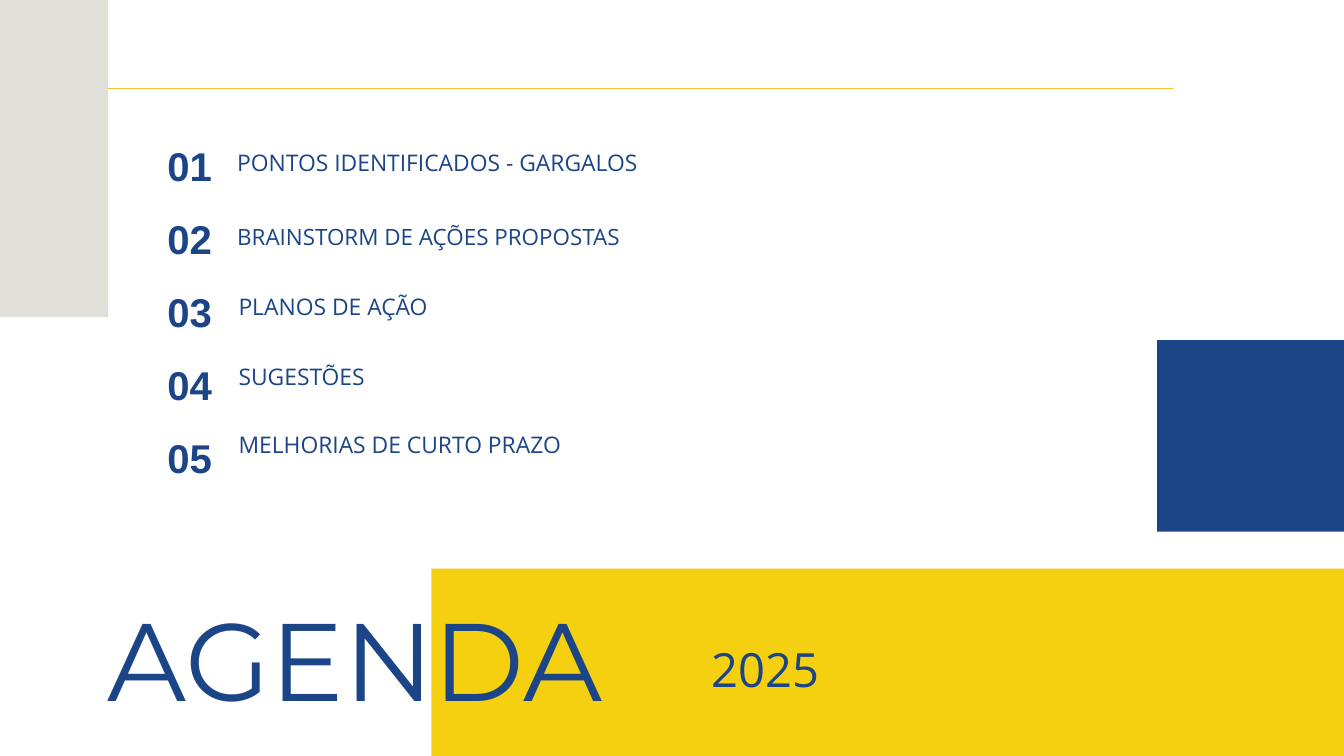
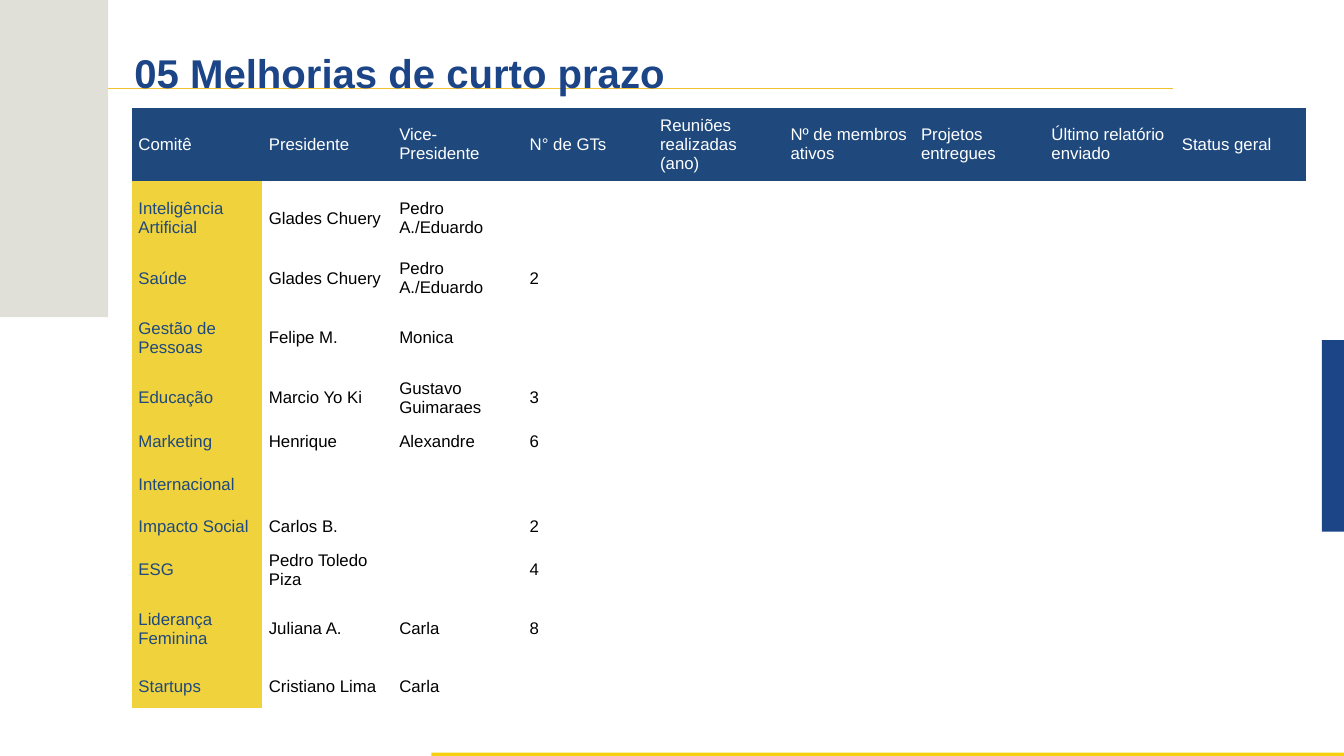
from lxml.etree import SubElement
from pptx import Presentation
from pptx.dml.color import RGBColor
from pptx.enum.shapes import MSO_CONNECTOR, MSO_SHAPE
from pptx.enum.text import MSO_ANCHOR, MSO_AUTO_SIZE, PP_ALIGN
from pptx.oxml.ns import qn
from pptx.util import Inches, Pt

BLUE = RGBColor(0x1B, 0x45, 0x87)
YELLOW = RGBColor(0xF4, 0xD0, 0x10)
GOLD = RGBColor(0xF1, 0xC1, 0x31)
GREY = RGBColor(0xE0, 0xE0, 0xD9)
NAVY = RGBColor(0x1F, 0x49, 0x7D)
MUSTARD = RGBColor(0xF0, 0xD2, 0x3C)
WHITE = RGBColor(0xFF, 0xFF, 0xFF)
BLACK = RGBColor(0x00, 0x00, 0x00)

SLIDE_W, SLIDE_H = 20, 11.25
NO_GRID_STYLE = "{2D5ABB26-0587-4C30-8999-92F81FD0307C}"

AGENDA_ITEMS = [
    ("PONTOS IDENTIFICADOS - GARGALOS", 3.52, 2.2, 24.5),
    ("BRAINSTORM DE AÇÕES PROPOSTAS", 3.52, 3.31, 24),
    ("PLANOS DE AÇÃO", 3.54, 4.34, 24.5),
    ("SUGESTÕES", 3.54, 5.38, 24.5),
    ("MELHORIAS DE CURTO PRAZO", 3.54, 6.4, 24.5),
]

HEADERS = ["Comitê", "Presidente", "Vice-Presidente", "N° de GTs",
           "Reuniões realizadas (ano)", "Nº de membros ativos",
           "Projetos entregues", "Último relatório enviado", "Status geral"]
COMMITTEES = [
    ("Inteligência Artificial", "Glades Chuery", "Pedro A./Eduardo", ""),
    ("Saúde", "Glades Chuery", "Pedro A./Eduardo", "2"),
    ("Gestão de Pessoas", "Felipe M.", "Monica", ""),
    ("Educação", "Marcio Yo Ki", "Gustavo Guimaraes", "3"),
    ("Marketing", "Henrique", "Alexandre", "6"),
    ("Internacional", "", "", ""),
    ("Impacto Social", "Carlos B.", "", "2"),
    ("ESG", "Pedro Toledo Piza", "", "4"),
    ("Liderança Feminina", "Juliana A.", "Carla", "8"),
    ("Startups", "Cristiano Lima", "Carla", ""),
]
ROW_HEIGHTS = [1.1, 1.1, 0.68, 1.1, 0.68, 0.63, 0.63, 0.63, 0.63, 1.1, 0.63]


def add_block(slide, left, top, width, height, color):
    """Add a plain filled rectangle."""
    sp = slide.shapes.add_shape(MSO_SHAPE.RECTANGLE, Inches(left), Inches(top),
                                Inches(width), Inches(height))
    sp.shadow.inherit = False
    sp.fill.solid()
    sp.fill.fore_color.rgb = color
    sp.line.fill.background()


def add_rule(slide, left, right, y):
    """Add the thin gold line across the top."""
    line = slide.shapes.add_connector(MSO_CONNECTOR.STRAIGHT, Inches(left), Inches(y),
                                      Inches(right), Inches(y))
    line.line.color.rgb = GOLD
    line.line.width = Pt(0.75)
    SubElement(line.element.find(qn("p:spPr")), qn("a:effectLst"))


def add_frame(slide, side_left, band_top):
    """Add the blue side block, yellow bottom band, rule and grey corner."""
    add_block(slide, side_left, 5.06, SLIDE_W - side_left, 2.85, BLUE)
    add_block(slide, 6.42, band_top, SLIDE_W - 6.42, SLIDE_H - band_top, YELLOW)
    add_rule(slide, 1.61, 17.45, 1.32)
    add_block(slide, 0, 0, 1.61, 4.72, GREY)


def style_runs(p, font, size, color, bold=False):
    """Format every run of a paragraph."""
    for r in p.runs:
        r.font.name = font
        r.font.size = Pt(size)
        r.font.bold = bold
        r.font.color.rgb = color


def fill_text(sp, text, font, size, bold=False, top_inset=0.01, gap=0):
    """Write blue left-aligned text, with a gap between its paragraphs."""
    tf = sp.text_frame
    tf.text = text
    tf.word_wrap = True
    tf.auto_size = MSO_AUTO_SIZE.NONE
    tf.vertical_anchor = MSO_ANCHOR.TOP
    tf.margin_left, tf.margin_top = Inches(0.01), Inches(top_inset)
    tf.margin_right = tf.margin_bottom = 0
    for i, p in enumerate(tf.paragraphs):
        p.alignment = PP_ALIGN.LEFT
        p.space_before = Pt(gap if i else 0)
        style_runs(p, font, size, BLUE, bold)


def add_text(slide, box, text, font, size, **options):
    """Add a text box at (left, top, width, height)."""
    sp = slide.shapes.add_textbox(*map(Inches, box))
    fill_text(sp, text, font, size, **options)


def set_title(slide, box, text, font, size, **options):
    """Place the title placeholder in front of the frame and format it."""
    sp = slide.shapes.title
    sp.left, sp.top, sp.width, sp.height = map(Inches, box)
    fill_text(sp, text, font, size, **options)
    sp.element.getparent().append(sp.element)


def style_cell(cell, text, color, fill=None):
    """Write one table cell and set its fill."""
    cell.text = text
    cell.vertical_anchor = MSO_ANCHOR.MIDDLE
    style_runs(cell.text_frame.paragraphs[0], "Arial", 18, color)
    if fill is None:
        cell.fill.background()
    else:
        cell.fill.solid()
        cell.fill.fore_color.rgb = fill


def add_committee_table(slide):
    """Add the table of committees."""
    frame = slide.shapes.add_table(len(ROW_HEIGHTS), len(HEADERS), Inches(1.96), Inches(1.6),
                                   Inches(17.47), Inches(sum(ROW_HEIGHTS)))
    frame.element.find(".//" + qn("a:tableStyleId")).text = NO_GRID_STYLE
    table = frame.table
    table.horz_banding = False
    for row, height in zip(table.rows, ROW_HEIGHTS):
        row.height = Inches(height)
    for cell, header in zip(table.rows[0].cells, HEADERS):
        style_cell(cell, header, WHITE, NAVY)
    for i, values in enumerate(COMMITTEES, 1):
        for j in range(len(HEADERS)):
            text = values[j] if j < len(values) else ""
            color, fill = (BLACK, None) if j else (NAVY, MUSTARD)
            style_cell(table.cell(i, j), text, color, fill)


def build_agenda(slide):
    """Build the agenda slide."""
    add_frame(slide, 17.22, 8.46)
    for text, left, top, size in AGENDA_ITEMS:
        add_text(slide, (left, top, 7.06, 0.43), text, "Open Sans", size)
    numbers = "\n".join(f"{n:02}" for n in range(1, len(AGENDA_ITEMS) + 1))
    add_text(slide, (2.48, 1.69, 0.71, 5.32), numbers, "Arial", 43,
             bold=True, top_inset=0.42, gap=26.6)
    set_title(slide, (1.59, 8.78, 8.01, 2), "AGENDA", "Montserrat", 118, top_inset=0.02)
    add_text(slide, (10.58, 9.51, 2.4, 0.87), "2025", "Open Sans", 50.5, top_inset=0.02)


def build_improvements(slide):
    """Build the short-term improvements slide."""
    add_frame(slide, 19.67, 11.2)
    set_title(slide, (1.99, 0.3, 10.68, 1.08), "05 Melhorias de curto prazo", "Arial", 43,
              bold=True, top_inset=0.42)
    add_committee_table(slide)


def main():
    """Build and save the presentation."""
    prs = Presentation()
    prs.slide_width, prs.slide_height = Inches(SLIDE_W), Inches(SLIDE_H)
    for build in (build_agenda, build_improvements):
        build(prs.slides.add_slide(prs.slide_layouts[5]))
    prs.save("out.pptx")


if __name__ == "__main__":
    main()
